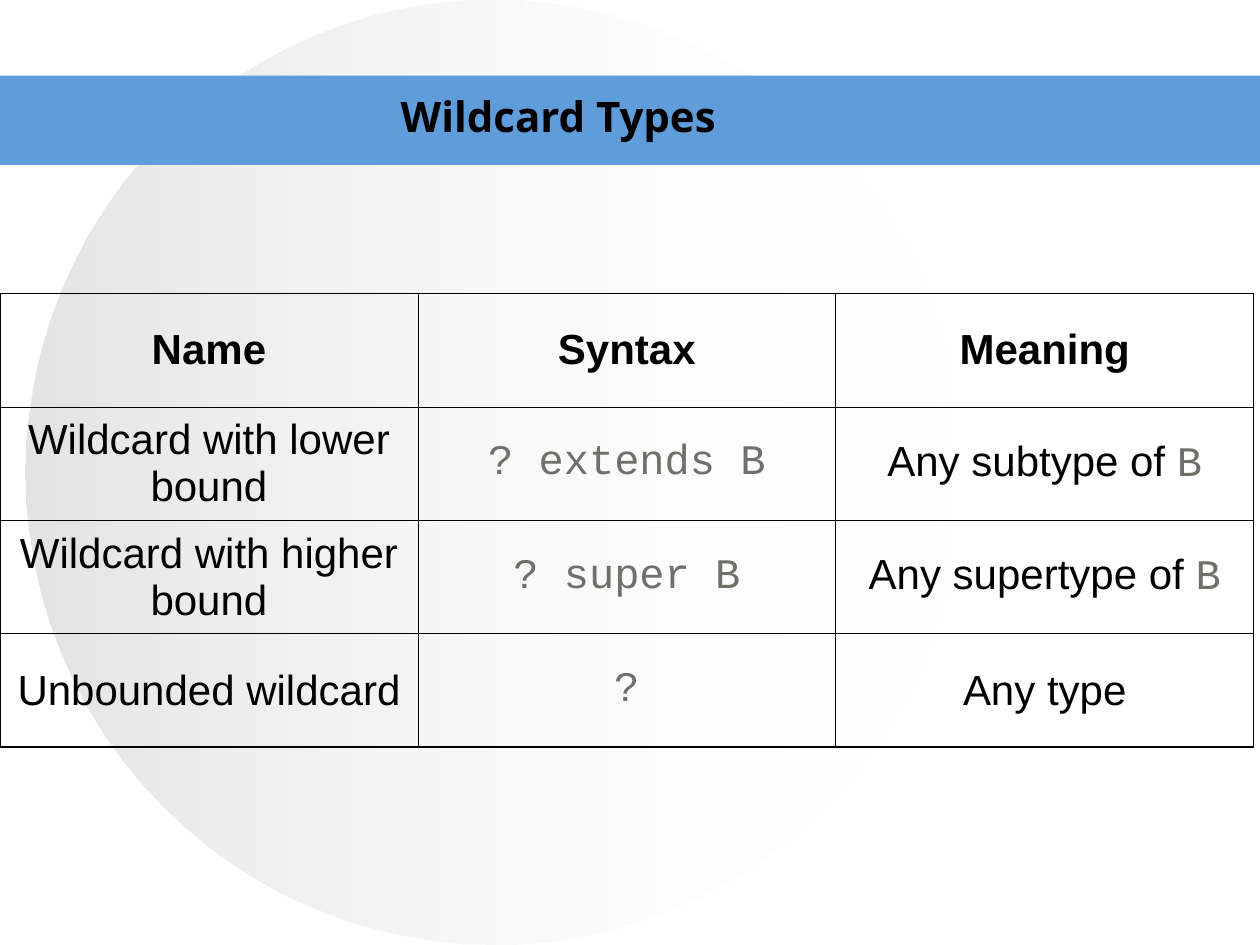
from lxml import etree
from pptx import Presentation
from pptx.dml.color import RGBColor
from pptx.enum.shapes import MSO_SHAPE
from pptx.enum.text import MSO_ANCHOR, PP_ALIGN
from pptx.oxml.ns import qn
from pptx.util import Inches, Pt

OVAL, RECTANGLE = MSO_SHAPE.OVAL, MSO_SHAPE.RECTANGLE
TOP, MIDDLE = MSO_ANCHOR.TOP, MSO_ANCHOR.MIDDLE
LEFT, CENTER = PP_ALIGN.LEFT, PP_ALIGN.CENTER
TITLE_ONLY = 5
THIN, THICK = 0.45, 1.08
COLORS = {
    "text": "000000",
    "code": "6E7069",
    "band": "5E9CDA",
    "shade": "C0C0C0",
    "fade": "FFFFFF",
}
TEXT, CODE = ("Arial", "text"), ("Courier New", "code")
WILDCARDS = [
    [[("Name", TEXT)], [("Syntax", TEXT)], [("Meaning", TEXT)]],
    [[("Wildcard with lower bound", TEXT)], [("? extends B", CODE)],
     [("Any subtype of ", TEXT), ("B", CODE)]],
    [[("Wildcard with higher bound", TEXT)], [("? super B", CODE)],
     [("Any supertype of ", TEXT), ("B", CODE)]],
    [[("Unbounded wildcard", TEXT)], [("?", CODE)], [("Any type", TEXT)]],
]


def color(name):
    """Return the named colour."""
    return RGBColor.from_string(COLORS[name])


def format_run(run, font, color_name, bold):
    """Apply the common text size with a font, colour and weight."""
    run.font.name = font
    run.font.size = Pt(24)
    run.font.bold = bold
    run.font.color.rgb = color(color_name)


def add_backdrop(slide, kind, left, top, width, height):
    """Add a shape without outline or shadow and return it."""
    backdrop = slide.shapes.add_shape(
        kind, Inches(left), Inches(top), Inches(width), Inches(height))
    backdrop.shadow.inherit = False
    backdrop.line.fill.background()
    return backdrop


def add_fading_circle(slide):
    """Add the large circle that fades out to the right."""
    circle = add_backdrop(slide, OVAL, 0.2, 0, 7.44, 7.5)
    circle.fill.gradient()
    circle.fill.gradient_angle = 0
    stops = circle.fill.gradient_stops
    for stop, name in zip(stops, ("shade", "fade")):
        stop.color.rgb = color(name)
    for tint, opacity in zip(circle.element.iter(qn("a:srgbClr")), (44, 0)):
        etree.SubElement(tint, qn("a:alpha"), val=str(opacity * 1000))


def add_band(slide):
    """Add the coloured band behind the title."""
    band = add_backdrop(slide, RECTANGLE, 0, 0.6, 10, 0.71)
    band.fill.solid()
    band.fill.fore_color.rgb = color("band")


def place_title(slide, wording):
    """Place the title in front of the band."""
    title = slide.shapes.title
    title.left, title.top = Inches(3.08), Inches(0.67)
    title.width, title.height = Inches(5.25), Inches(0.5)
    title.text_frame.text = wording
    title.text_frame.vertical_anchor = TOP
    paragraph = title.text_frame.paragraphs[0]
    paragraph.alignment = LEFT
    format_run(paragraph.runs[0], "Open Sans", "text", True)
    title.element.getparent().append(title.element)


def set_borders(cell, widths):
    """Draw the left, right, top and bottom borders of a cell."""
    properties = cell._tc.get_or_add_tcPr()
    for index, (side, width) in enumerate(zip("LRTB", widths)):
        border = etree.Element(qn(f"a:ln{side}"), w=str(Pt(width)))
        fill = etree.SubElement(border, qn("a:solidFill"))
        etree.SubElement(fill, qn("a:srgbClr"), val=COLORS["text"])
        properties.insert(index, border)


def fill_cell(cell, pieces, bold):
    """Write text and code pieces into a centred, unfilled cell."""
    cell.fill.background()
    cell.vertical_anchor = MIDDLE
    paragraph = cell.text_frame.paragraphs[0]
    paragraph.alignment = CENTER
    paragraph.space_before = Pt(6)
    for wording, (font, color_name) in pieces:
        run = paragraph.add_run()
        run.text = wording
        format_run(run, font, color_name, bold)


def add_wildcard_table(slide, rows):
    """Add the table with a thick frame and thin inner lines."""
    last_row, last_column = len(rows) - 1, len(rows[0]) - 1
    table = slide.shapes.add_table(
        len(rows), len(rows[0]), Inches(0), Inches(2.33),
        Inches(9.95), Inches(3.6)).table
    table.first_row = table.horz_banding = False
    for row, contents in enumerate(rows):
        for column, pieces in enumerate(contents):
            cell = table.cell(row, column)
            fill_cell(cell, pieces, row == 0)
            on_frame = (column == 0, column == last_column,
                        row == 0, row == last_row)
            set_borders(cell, [THICK if outer else THIN for outer in on_frame])


def main():
    """Build the slide and save it."""
    presentation = Presentation()
    presentation.slide_width, presentation.slide_height = Inches(10), Inches(7.5)
    slide = presentation.slides.add_slide(presentation.slide_layouts[TITLE_ONLY])
    add_fading_circle(slide)
    add_band(slide)
    place_title(slide, "Wildcard Types")
    add_wildcard_table(slide, WILDCARDS)
    presentation.save("out.pptx")


main()
